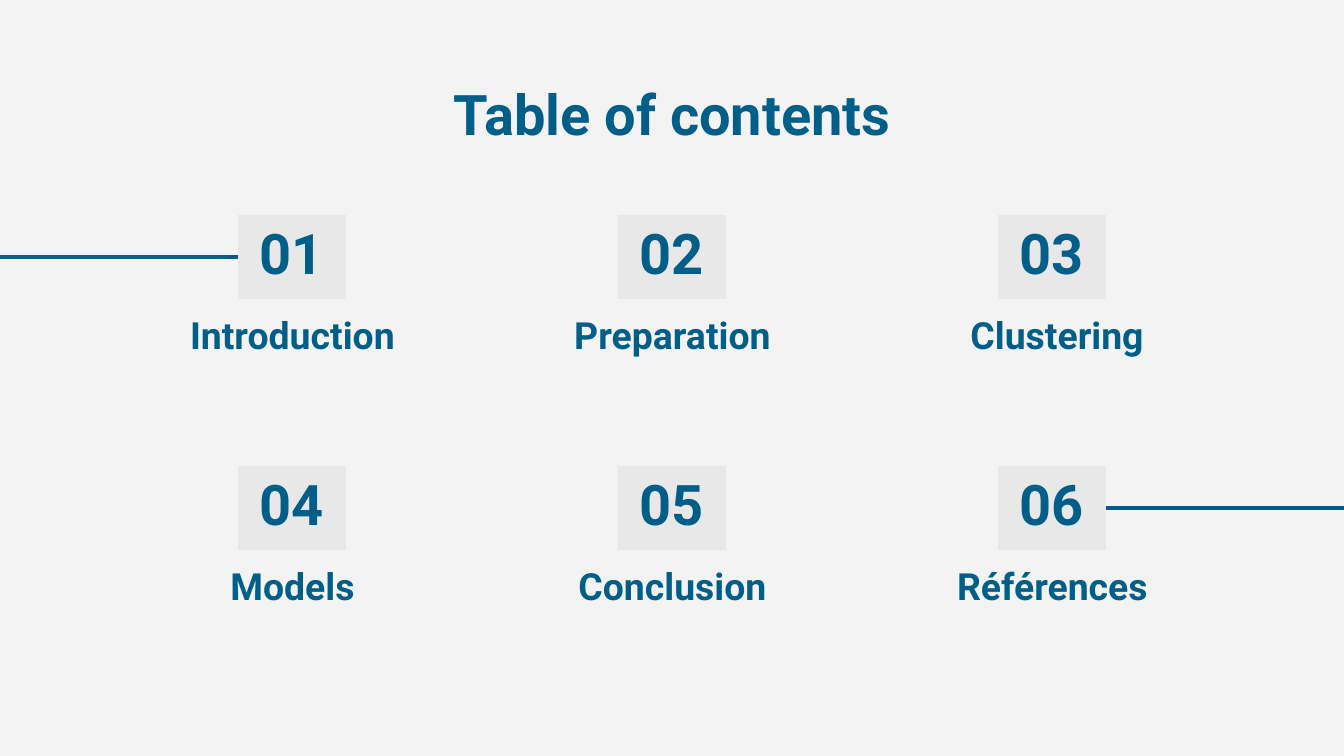
from dataclasses import dataclass

from lxml import etree
from pptx import Presentation
from pptx.dml.color import RGBColor
from pptx.enum.shapes import MSO_CONNECTOR, MSO_SHAPE
from pptx.enum.text import MSO_ANCHOR, MSO_AUTO_SIZE, PP_ALIGN
from pptx.oxml.ns import qn
from pptx.util import Emu, Pt

RECTANGLE = MSO_SHAPE.RECTANGLE
STRAIGHT = MSO_CONNECTOR.STRAIGHT
TOP, BOTTOM = MSO_ANCHOR.TOP, MSO_ANCHOR.BOTTOM
NO_AUTOFIT = MSO_AUTO_SIZE.NONE
CENTER = PP_ALIGN.CENTER
TITLE_ONLY = 5
EMU_PER_PX = 914400 / 134.4
WIDTH, HEIGHT = 1344, 756
TOPICS = ["Introduction", "Preparation", " Clustering",
          "Models", "Conclusion", "Références"]
COLUMNS = 3
LEFT, COLUMN_STEP = 238, 380
ROW_TOP, ROW_STEP = 215, 251
BOX_WIDTH, BOX_HEIGHT = 108, 84
LABEL_WIDTH, LABEL_HEIGHT = 297, 109


def px(length):
    """Turn px into EMU."""
    return Emu(round(length * EMU_PER_PX))


@dataclass(frozen=True)
class Theme:
    """Colours, font and sizes of the deck."""

    background: RGBColor = RGBColor(0xF3, 0xF3, 0xF3)
    box: RGBColor = RGBColor(0xE8, 0xE8, 0xE8)
    accent: RGBColor = RGBColor(0x00, 0x5E, 0x88)
    font: str = "Roboto"
    heading: Pt = Pt(30)
    label: Pt = Pt(20)
    line: Pt = Pt(2.25)


class ContentsSlide:
    """Draw the elements of a contents slide in one style."""

    def __init__(self, slide, theme):
        """Keep the slide and theme, and colour the background."""
        self.slide = slide
        self.theme = theme
        slide.background.fill.solid()
        slide.background.fill.fore_color.rgb = theme.background

    def set_text(self, shape, text, size, anchor=TOP):
        """Put centred bold text into a shape."""
        frame = shape.text_frame
        frame_format = {"word_wrap": True, "auto_size": NO_AUTOFIT,
                        "vertical_anchor": anchor}
        for side in ("left", "top", "right", "bottom"):
            frame_format[f"margin_{side}"] = Pt(7.2)
        for name, value in frame_format.items():
            setattr(frame, name, value)
        paragraph = frame.paragraphs[0]
        paragraph.alignment = CENTER
        run = paragraph.add_run()
        run.text = text
        font_format = {"name": self.theme.font, "size": size, "bold": True}
        for name, value in font_format.items():
            setattr(run.font, name, value)
        run.font.color.rgb = self.theme.accent

    def title(self, text, left, top, width, height):
        """Move and fill the title placeholder."""
        shape = self.slide.shapes.title
        place = {"left": left, "top": top, "width": width, "height": height}
        for name, value in place.items():
            setattr(shape, name, px(value))
        self.set_text(shape, text, self.theme.heading)

    def number(self, text, left, top):
        """Add a numbered box."""
        shape = self.slide.shapes.add_shape(
            RECTANGLE, px(left), px(top), px(BOX_WIDTH), px(BOX_HEIGHT))
        shape.shadow.inherit = False
        shape.fill.solid()
        shape.fill.fore_color.rgb = self.theme.box
        shape.line.fill.background()
        self.set_text(shape, text, self.theme.heading, BOTTOM)

    def label(self, text, left, top):
        """Add a topic name."""
        shape = self.slide.shapes.add_textbox(
            px(left), px(top), px(LABEL_WIDTH), px(LABEL_HEIGHT))
        self.set_text(shape, text, self.theme.label)

    def line(self, start, end, y):
        """Add a horizontal line."""
        connector = self.slide.shapes.add_connector(
            STRAIGHT, px(start), px(y), px(end), px(y))
        connector.line.color.rgb = self.theme.accent
        connector.line.width = self.theme.line
        etree.SubElement(connector.element.spPr, qn("a:effectLst"))


def main():
    """Build the contents slide and save it."""
    presentation = Presentation()
    presentation.slide_width = px(WIDTH)
    presentation.slide_height = px(HEIGHT)
    layout = presentation.slide_layouts[TITLE_ONLY]
    contents = ContentsSlide(presentation.slides.add_slide(layout), Theme())
    contents.title("Table of contents", 106, 66, 1133, 85)
    for index, topic in enumerate(TOPICS):
        row, column = divmod(index, COLUMNS)
        left = LEFT + column * COLUMN_STEP
        top = ROW_TOP + row * ROW_STEP
        contents.number(f"{index + 1:02}", left, top)
        contents.label(topic, left - (LABEL_WIDTH - BOX_WIDTH) // 2,
                       top + BOX_HEIGHT)
    line_y = ROW_TOP + BOX_HEIGHT // 2
    last_right = LEFT + (COLUMNS - 1) * COLUMN_STEP + BOX_WIDTH
    contents.line(-7, LEFT, line_y)
    contents.line(last_right, WIDTH + 4, line_y + ROW_STEP)
    presentation.save("out.pptx")


if __name__ == "__main__":
    main()
